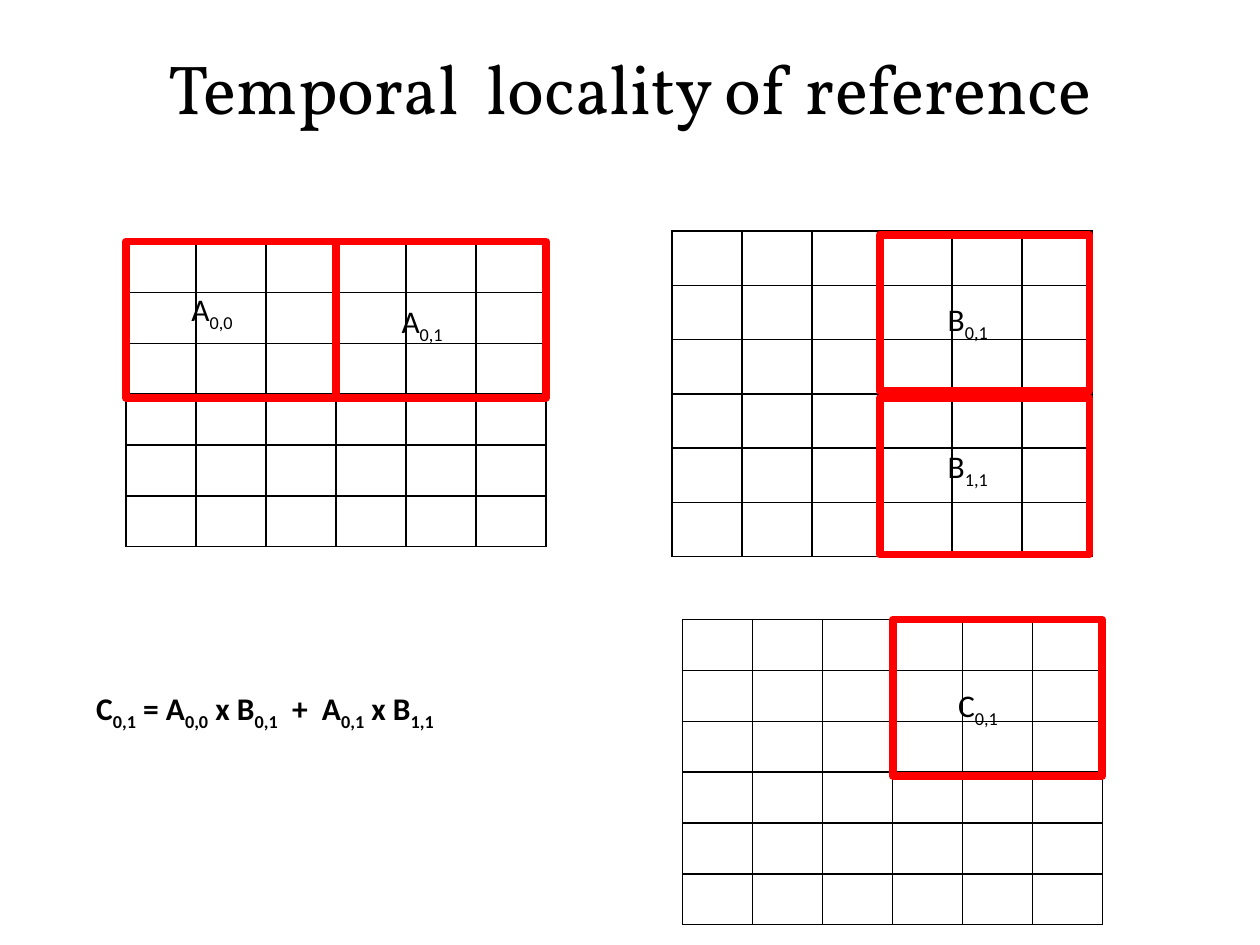
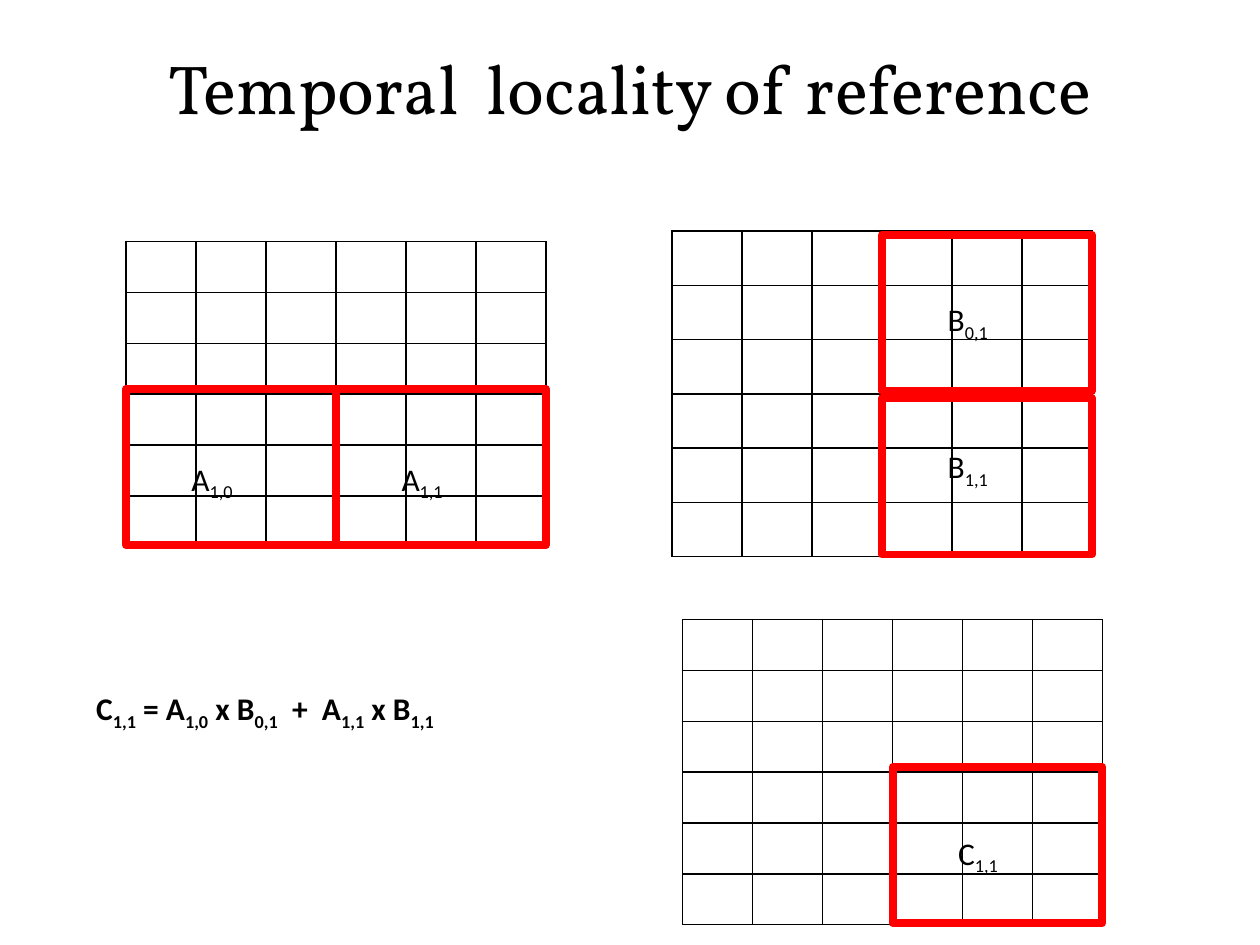
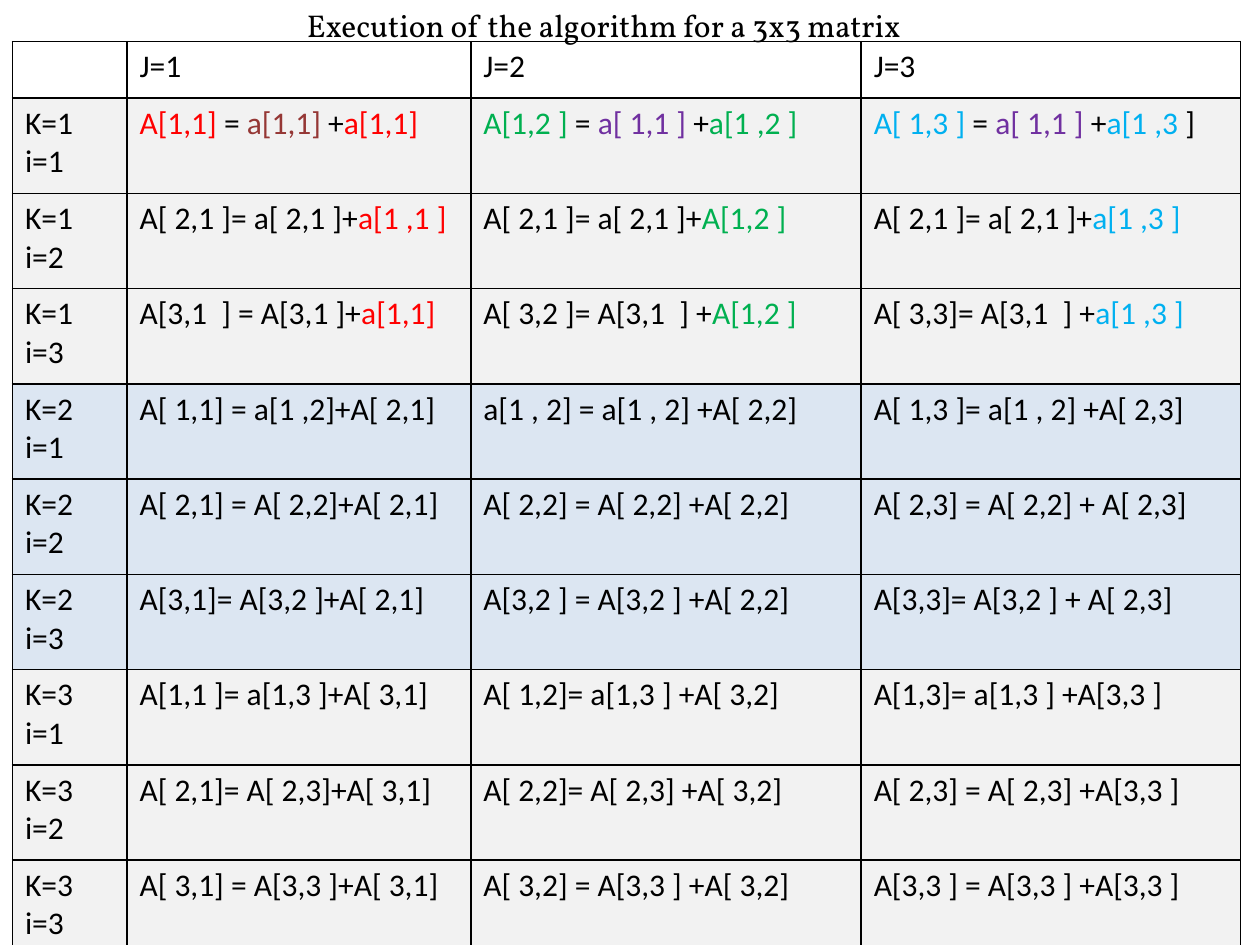
from dataclasses import dataclass
from itertools import product

from lxml.etree import SubElement
from pptx import Presentation
from pptx.dml.color import RGBColor
from pptx.enum.dml import MSO_LINE_DASH_STYLE as Dash
from pptx.enum.shapes import MSO_SHAPE as Shape
from pptx.enum.text import MSO_ANCHOR as Anchor, MSO_AUTO_SIZE as AutoSize, PP_ALIGN as Align
from pptx.oxml.ns import qn
from pptx.util import Cm, Pt

BLACK = RGBColor(0x00, 0x00, 0x00)
RED = RGBColor(0xFF, 0x00, 0x00)
BROWN = RGBColor(0x95, 0x37, 0x35)
GREEN = RGBColor(0x00, 0xB0, 0x50)
PURPLE = RGBColor(0x70, 0x30, 0xA0)
CYAN = RGBColor(0x00, 0xB0, 0xF0)
GREY_BAND = RGBColor(0xF2, 0xF2, 0xF2)
BLUE_BAND = RGBColor(0xDC, 0xE6, 0xF2)

TITLE_FONT = "Vollkorn"
BODY_FONT = "Calibri"
BODY_SIZE = 18
TITLE_ONLY = 5
MATRIX_ORDER = 6
BLOCK_WIDTH = 4.23
BLOCK_HEIGHT = 3.15
LABEL_INDENT = 1.07


@dataclass
class Box:
    """A rectangle in centimetres."""

    left: float
    top: float
    width: float
    height: float

    def lengths(self):
        """Return the four sides as slide lengths."""
        return [Cm(side) for side in (self.left, self.top, self.width, self.height)]


@dataclass
class Matrix:
    """A named matrix, its box and the spacing of its block rows."""

    name: str
    box: Box
    pitch: float
    inset: float = 0
    dotted: bool = False


@dataclass
class Block:
    """A highlighted block: its indices, its label's drop and a sideways shift."""

    row: int
    column: int
    drop: float
    shift: float = 0


MATRIX_A = Matrix("A", Box(2.54, 4.87, 8.47, 6.15), 2.97)
MATRIX_B = Matrix("B", Box(13.55, 4.66, 8.47, 6.56), 3.3, inset=0.07)
MATRIX_C = Matrix("C", Box(13.76, 12.49, 8.47, 6.15), 2.97, dotted=True)

TITLE_BOX = Box(1.27, 0.76, 22.86, 1.98)
FORMULA_BOX = Box(1.69, 13.76, 10.58, 1.03)
HEADING_BOX = Box(5.93, 0, 17.78, 1.03)
STEPS_BOX = Box(0.25, 0.84, 24.76, 18.42)

STEP_COLUMNS = [2.31, 6.93, 7.87, 7.65]
HEADER_HEIGHT = 1.14
STEP_BANDS = [GREY_BAND, BLUE_BAND, GREY_BAND]
STEPS = [
    [
        [("A[1,1] ", RED), ("= ", BLACK), ("a[1,1] ", BROWN), ("+", BLACK), ("a[1,1]", RED)],
        [("A[1,2 ] ", GREEN), ("= ", BLACK), ("a[ 1,1 ] ", PURPLE), ("+", BLACK), ("a[1 ,2 ]", GREEN)],
        [("A[ 1,3 ] ", CYAN), ("= ", BLACK), ("a[ 1,1 ] ", PURPLE), ("+", BLACK),
         ("a[1 ,3 ", CYAN), ("]", BLACK)],
    ],
    [
        [("A[ 2,1 ]= a[ 2,1 ]+", BLACK), ("a[1 ,1 ]", RED)],
        [("A[ 2,1 ]= a[ 2,1 ]+", BLACK), ("A[1,2 ]", GREEN)],
        [("A[ 2,1 ]= a[ 2,1 ]+", BLACK), ("a[1 ,3 ]", CYAN)],
    ],
    [
        [("A[3,1  ] = A[3,1 ]+", BLACK), ("a[1,1]", RED)],
        [("A[ 3,2 ]= A[3,1  ] +", BLACK), ("A[1,2 ]", GREEN)],
        [("A[ 3,3]= A[3,1  ] +", BLACK), ("a[1 ,3 ]", CYAN)],
    ],
    ["A[ 1,1] = a[1 ,2]+A[ 2,1]", "a[1 , 2] = a[1 , 2] +A[ 2,2]", "A[ 1,3 ]= a[1 , 2] +A[ 2,3]"],
    ["A[ 2,1] = A[ 2,2]+A[ 2,1]", "A[ 2,2] = A[ 2,2] +A[ 2,2]", "A[ 2,3] = A[ 2,2] + A[ 2,3]"],
    ["A[3,1]= A[3,2 ]+A[ 2,1]", "A[3,2 ] = A[3,2 ] +A[ 2,2]", "A[3,3]= A[3,2 ] + A[ 2,3]"],
    ["A[1,1 ]= a[1,3 ]+A[ 3,1]", "A[ 1,2]= a[1,3 ] +A[ 3,2]", "A[1,3]= a[1,3 ] +A[3,3 ]"],
    ["A[ 2,1]= A[ 2,3]+A[ 3,1]", "A[ 2,2]= A[ 2,3] +A[ 3,2]", "A[ 2,3] = A[ 2,3] +A[3,3 ]"],
    ["A[ 3,1] = A[3,3 ]+A[ 3,1]", "A[ 3,2] = A[3,3 ] +A[ 3,2]", "A[3,3 ] = A[3,3 ] +A[3,3 ]"],
]


def add_run(paragraph, text, color=BLACK, size=BODY_SIZE, font=BODY_FONT, bold=False, subscript=False):
    """Append one formatted run to a paragraph."""
    run = paragraph.add_run()
    run.text = text
    run.font.name = font
    run.font.size = Pt(size)
    run.font.bold = bold
    run.font.color.rgb = color
    if subscript:
        run.font._element.set("baseline", "-25000")


def add_title_slide(presentation, title, box, size, align, anchor):
    """Add a title-only slide with its title placed in the box."""
    slide = presentation.slides.add_slide(presentation.slide_layouts[TITLE_ONLY])
    shape = slide.shapes.title
    shape.left, shape.top, shape.width, shape.height = box.lengths()
    frame = shape.text_frame
    frame.auto_size = AutoSize.NONE
    frame.vertical_anchor = anchor
    paragraph = frame.paragraphs[0]
    paragraph.alignment = align
    add_run(paragraph, title, size=size, font=TITLE_FONT)
    return slide


def add_terms(slide, box, terms, bold=False):
    """Add a text box of alternating symbols and subscripts."""
    frame = slide.shapes.add_textbox(*box.lengths()).text_frame
    frame.word_wrap = True
    frame.auto_size = AutoSize.SHAPE_TO_FIT_TEXT
    for symbol, index in terms:
        add_run(frame.paragraphs[0], symbol, bold=bold)
        add_run(frame.paragraphs[0], index, bold=bold, subscript=True)


def set_borders(cell):
    """Draw a thin black line on each side of a cell."""
    properties = cell._tc.get_or_add_tcPr()
    for side in ("a:lnL", "a:lnR", "a:lnT", "a:lnB"):
        line = SubElement(properties, qn(side), w=str(Pt(1)))
        fill = SubElement(line, qn("a:solidFill"))
        SubElement(fill, qn("a:srgbClr"), val=str(BLACK))


def add_grid(slide, box, widths, heights):
    """Add an unfilled, ruled table with the given column and row sizes."""
    table = slide.shapes.add_table(len(heights), len(widths), *box.lengths()).table
    table.first_row = False
    table.horz_banding = False
    for column, width in zip(table.columns, widths):
        column.width = Cm(width)
    for row, height in zip(table.rows, heights):
        row.height = Cm(height)
    for cell in table.iter_cells():
        set_borders(cell)
        cell.fill.background()
    return table


def add_outline(slide, box, dash=None):
    """Add a thick red frame."""
    shape = slide.shapes.add_shape(Shape.RECTANGLE, *box.lengths())
    shape.shadow.inherit = False
    shape.fill.background()
    shape.line.color.rgb = RED
    shape.line.width = Pt(4.5)
    if dash:
        shape.line.dash_style = dash


def add_matrix(slide, matrix, blocks):
    """Add a matrix grid with its highlighted and labelled blocks."""
    box = matrix.box
    table = add_grid(slide, box, [box.width / MATRIX_ORDER] * MATRIX_ORDER,
                     [box.height / MATRIX_ORDER] * MATRIX_ORDER)
    for cell in table.iter_cells():
        cell.margin_top = cell.margin_bottom = 0
    for block in blocks:
        left = box.left + block.column * box.width / 2
        top = box.top + matrix.inset + block.row * matrix.pitch
        frame = Box(left + block.shift, top, BLOCK_WIDTH, BLOCK_HEIGHT)
        if matrix.dotted:
            add_outline(slide, frame, Dash.ROUND_DOT)
        add_outline(slide, frame)
        label = Box(left + LABEL_INDENT, top + block.drop, 2.33, 1.03)
        add_terms(slide, label, [(matrix.name, f"{block.row},{block.column}")])


def add_locality_slide(presentation, row, a_drops, b_shift):
    """Add the slide that computes the right-hand block of C in a block row."""
    slide = add_title_slide(presentation, "Temporal  locality of reference", TITLE_BOX, 39.6,
                            Align.CENTER, Anchor.MIDDLE)
    add_matrix(slide, MATRIX_A, [Block(row, column, drop) for column, drop in enumerate(a_drops)])
    add_matrix(slide, MATRIX_B, [Block(0, 1, 1.19, b_shift), Block(1, 1, 0.86, b_shift)])
    add_matrix(slide, MATRIX_C, [Block(row, 1, 1.22)])
    terms = [("C", f"{row},1"), (" = A", f"{row},0"), (" x B", "0,1"),
             ("  +  A", f"{row},1"), (" x B", "1,1")]
    add_terms(slide, FORMULA_BOX, terms, bold=True)


def fill_cell(cell, paragraphs, band=None):
    """Write paragraphs of coloured runs in a cell and colour its band."""
    frame = cell.text_frame
    for number, runs in enumerate(paragraphs):
        paragraph = frame.add_paragraph() if number else frame.paragraphs[0]
        for text, color in runs:
            add_run(paragraph, text, color)
    if band:
        cell.fill.solid()
        cell.fill.fore_color.rgb = band


def add_steps_table(slide, box):
    """Add the table of steps: one row for each k and i, one column for each j."""
    step_height = (box.height - HEADER_HEIGHT) / len(STEPS)
    table = add_grid(slide, box, STEP_COLUMNS, [HEADER_HEIGHT] + [step_height] * len(STEPS))
    for j in range(1, 4):
        fill_cell(table.cell(0, j), [[(f"J={j}", BLACK)]])
    indices = product(range(1, 4), repeat=2)
    for number, ((k, i), step) in enumerate(zip(indices, STEPS), 1):
        band = STEP_BANDS[k - 1]
        fill_cell(table.cell(number, 0), [[(f"K={k}", BLACK)], [(f"i={i}", BLACK)]], band)
        for j, content in enumerate(step, 1):
            runs = [(content, BLACK)] if isinstance(content, str) else content
            fill_cell(table.cell(number, j), [runs], band)


def add_execution_slide(presentation):
    """Add the slide that traces the algorithm."""
    slide = add_title_slide(presentation, "Execution of the algorithm for a 3x3 matrix", HEADING_BOX,
                            BODY_SIZE, Align.LEFT, Anchor.TOP)
    add_steps_table(slide, STEPS_BOX)


def main():
    """Build and save the presentation."""
    presentation = Presentation()
    presentation.slide_width = Cm(25.4)
    presentation.slide_height = Cm(19.05)
    add_locality_slide(presentation, 0, a_drops=(0.86, 1.09), b_shift=-0.05)
    add_locality_slide(presentation, 1, a_drops=(1.3, 1.3), b_shift=0)
    add_execution_slide(presentation)
    presentation.save("out.pptx")


main()
